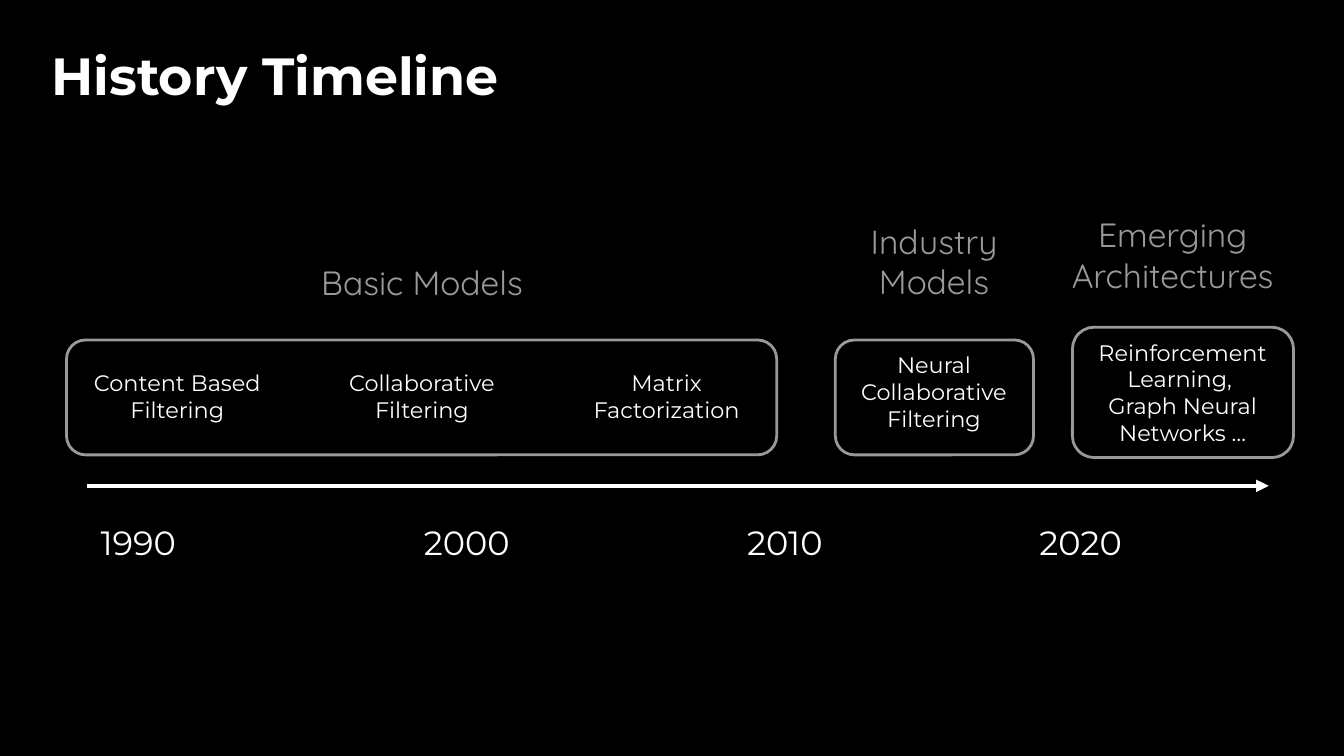
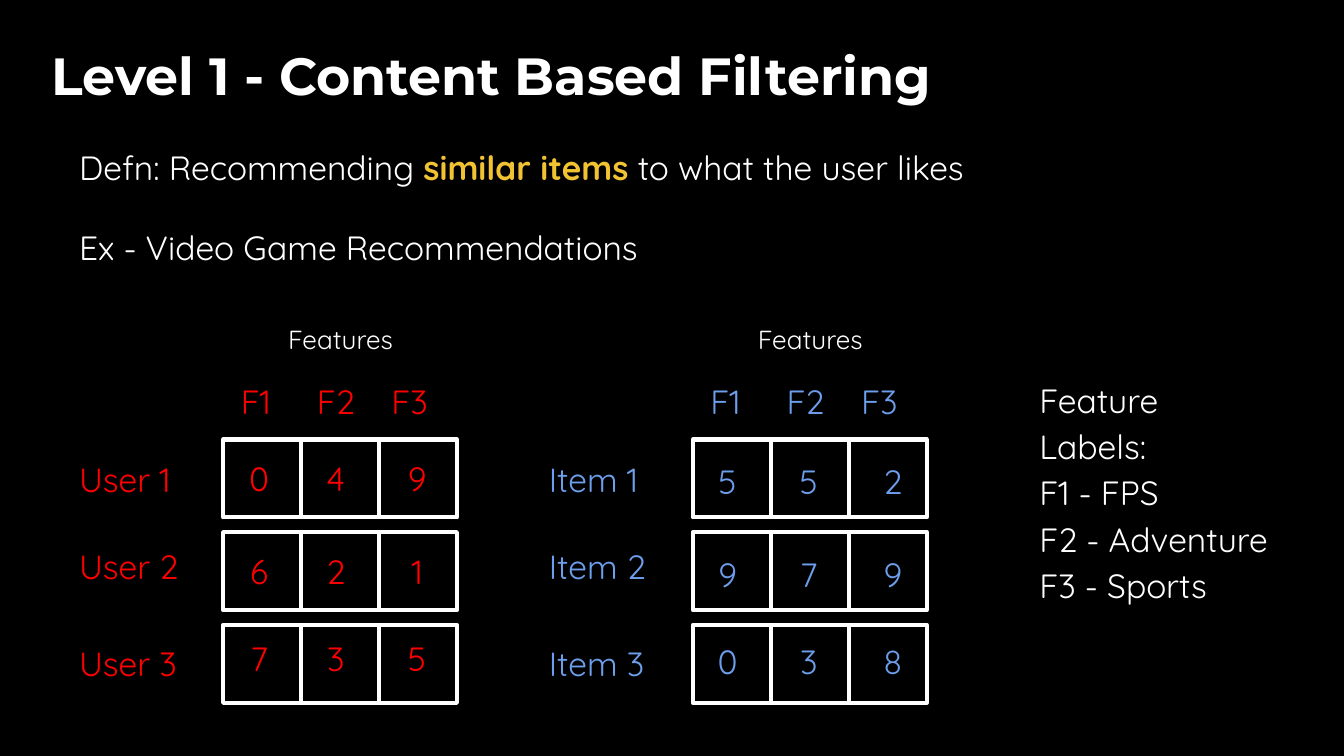
import dataclasses
import typing

import lxml.etree
import pptx
import pptx.dml.color
import pptx.enum.shapes
import pptx.enum.text
import pptx.oxml.ns
import pptx.util

PX = 4572
ALIGN = pptx.enum.text.PP_ALIGN
SHAPE = pptx.enum.shapes.MSO_SHAPE
qn = pptx.oxml.ns.qn


@dataclasses.dataclass(frozen=True)
class Theme:
    back: str = "000000"
    white: str = "FFFFFF"
    gray: str = "999999"
    red: str = "FF0000"
    blue: str = "6D9EEB"
    gold: str = "F1C232"
    head: str = "Montserrat"
    body: str = "Quicksand"
    title: int = 28
    large: int = 18
    mid: int = 14
    small: int = 12
    thick: float = 2.25
    thin: float = 1.5


THEME = Theme()


class Box(typing.NamedTuple):
    left: int
    top: int
    width: int
    height: int

    def emu(self) -> list[int]:
        return [side * PX for side in self]


class Style(typing.NamedTuple):
    font: str
    size: int
    color: str = THEME.white
    bold: bool = False
    align: ALIGN = ALIGN.LEFT


class Label(typing.NamedTuple):
    box: Box
    lines: list[str]
    style: Style


class Grid(typing.NamedTuple):
    left: int
    noun: str
    color: str
    rows: list[list[int]]
    tops: list[int]
    shift: int
    stops: list[int]


TITLE = Style(THEME.head, THEME.title, bold=True)
YEAR = Style(THEME.head, THEME.large)
MODEL = Style(THEME.head, THEME.small, align=ALIGN.CENTER)
GROUP = Style(THEME.body, THEME.large, THEME.gray, align=ALIGN.CENTER)
BODY = Style(THEME.body, THEME.large)
NOTE = Style(THEME.body, THEME.mid)

INSET = 20
YEARS = {"1990": 130, "2000": 611, "2010": 1092, "2020": 1527}
FRAMES = [
    Box(99, 506, 1057, 171),
    Box(1243, 506, 295, 171),
    Box(1596, 487, 329, 194),
]
LABELS = [
    Label(Box(100, 530, 328, 122), ["Content Based Filtering"], MODEL),
    Label(Box(464, 530, 328, 122), ["Collaborative Filtering"], MODEL),
    Label(Box(828, 530, 328, 122), ["Matrix Factorization"], MODEL),
    Label(Box(1226, 503, 328, 162), ["Neural Collaborative Filtering"], MODEL),
    Label(Box(1596, 484, 328, 202),
          ["Reinforcement Learning, ", "Graph Neural Networks …"], MODEL),
    Label(Box(437, 370, 382, 100), ["Basic Models"], GROUP),
    Label(Box(1199, 308, 382, 162), ["Industry Models"], GROUP),
    Label(Box(1554, 299, 382, 162), ["Emerging", "Architectures"], GROUP),
]

CELL = 116
PITCH = 138
GRID_TOP = 654
INDENT = 234
NAME_TOPS = [663, 793, 937]
HEAD_STOPS = [23, 142, 252]
GRIDS = [
    Grid(98, "User", THEME.red, [[0, 4, 9], [6, 2, 1], [7, 3, 5]],
         [662, 800, 930], 6, [28, 142, 263]),
    Grid(797, "Item", THEME.blue, [[5, 5, 2], [9, 7, 9], [0, 3, 8]],
         [666, 804, 934], 5, [27, 148, 273]),
]


def rgb(color: str) -> pptx.dml.color.RGBColor:
    return pptx.dml.color.RGBColor.from_string(color)


def paint(run, style: Style) -> None:
    run.font.name = style.font
    run.font.size = pptx.util.Pt(style.size)
    run.font.bold = style.bold
    run.font.color.rgb = rgb(style.color)


def write(slide, box: Box, lines: list[str], style: Style):
    frame = slide.shapes.add_textbox(*box.emu()).text_frame
    frame.word_wrap = True
    frame.margin_left = frame.margin_right = INSET * PX
    frame.margin_top = frame.margin_bottom = INSET * PX
    frame.text = "\n".join(lines)
    for para in frame.paragraphs:
        para.alignment = style.align
        for run in para.runs:
            paint(run, style)
    return frame


def spread(slide, box: Box, words: list[str], style: Style,
           stops: list[int]) -> None:
    text = "".join(f"\t{word}" for word in words)
    para = write(slide, box, [text], style).paragraphs[0]
    props = para._p.get_or_add_pPr()
    tabs = lxml.etree.SubElement(props, qn("a:tabLst"))
    for stop in stops:
        tab = lxml.etree.SubElement(tabs, qn("a:tab"))
        tab.set("pos", str(stop * PX))
        tab.set("algn", "ctr")


def outline(slide, kind: SHAPE, box: Box, color: str, width: float) -> None:
    shape = slide.shapes.add_shape(kind, *box.emu())
    shape.shadow.inherit = False
    shape.fill.background()
    shape.line.color.rgb = rgb(color)
    shape.line.width = pptx.util.Pt(width)


def arrow(slide, left: int, right: int, top: int) -> None:
    line = slide.shapes.add_connector(
        pptx.enum.shapes.MSO_CONNECTOR.STRAIGHT,
        left * PX, top * PX, right * PX, top * PX)
    line.line.color.rgb = rgb(THEME.white)
    line.line.width = pptx.util.Pt(THEME.thick)
    props = line.element.find(qn("p:spPr"))
    tip = lxml.etree.SubElement(props.find(qn("a:ln")), qn("a:tailEnd"))
    tip.set("type", "triangle")
    lxml.etree.SubElement(props, qn("a:effectLst"))


def start(deck, title: str):
    slide = deck.slides.add_slide(deck.slide_layouts[6])
    slide.background.fill.solid()
    slide.background.fill.fore_color.rgb = rgb(THEME.back)
    write(slide, Box(57, 44, 1706, 146), [title], TITLE)
    return slide


def draw_grid(slide, grid: Grid) -> None:
    style = Style(THEME.body, THEME.large, grid.color)
    first = grid.left + INDENT
    for row in range(3):
        for col in range(3):
            box = Box(first + col * CELL, GRID_TOP + row * PITCH, CELL, CELL)
            outline(slide, SHAPE.RECTANGLE, box, THEME.white, THEME.thick)
    for row, top in enumerate(NAME_TOPS):
        name = f"{grid.noun} {row + 1}"
        write(slide, Box(grid.left, top, 220, 100), [name], style)
    spread(slide, Box(first + 6, 547, 342, 100), ["F1", "F2", "F3"],
           style, HEAD_STOPS)
    for top, values in zip(grid.tops, grid.rows):
        spread(slide, Box(first + grid.shift, top, 342, 100),
               [str(value) for value in values], style, grid.stops)
    write(slide, Box(first + 77, 462, 200, 100), ["Features"], NOTE)


def draw_history(deck) -> None:
    slide = start(deck, "History Timeline")
    arrow(slide, 130, 1888, 723)
    for year, left in YEARS.items():
        write(slide, Box(left, 757, 222, 100), [year], YEAR)
    for label in LABELS:
        write(slide, *label)
    for box in FRAMES:
        outline(slide, SHAPE.ROUNDED_RECTANGLE, box, THEME.gray, THEME.thin)


def draw_content(deck) -> None:
    slide = start(deck, "Level 1 - Content Based Filtering")
    lines = ["Defn: Recommending ", "Ex - Video Game Recommendations"]
    frame = write(slide, Box(98, 198, 1772, 242), lines, BODY)
    defn, sample = frame.paragraphs
    sample.space_before = pptx.util.Pt(21.5)
    accent = BODY._replace(color=THEME.gold, bold=True)
    for text, style in [("similar items", accent),
                        (" to what the user likes", BODY)]:
        run = defn.add_run()
        run.text = text
        paint(run, style)
    for grid in GRIDS:
        draw_grid(slide, grid)
    lines = ["Feature Labels:", "F1 - FPS", "F2 - Adventure", "F3 - Sports"]
    key = write(slide, Box(1527, 536, 388, 494), lines, BODY)
    for para in key.paragraphs:
        para.line_spacing = 1.15


def main() -> None:
    deck = pptx.Presentation()
    deck.slide_width = 2000 * PX
    deck.slide_height = 1125 * PX
    draw_history(deck)
    draw_content(deck)
    deck.save("out.pptx")


if __name__ == "__main__":
    main()
